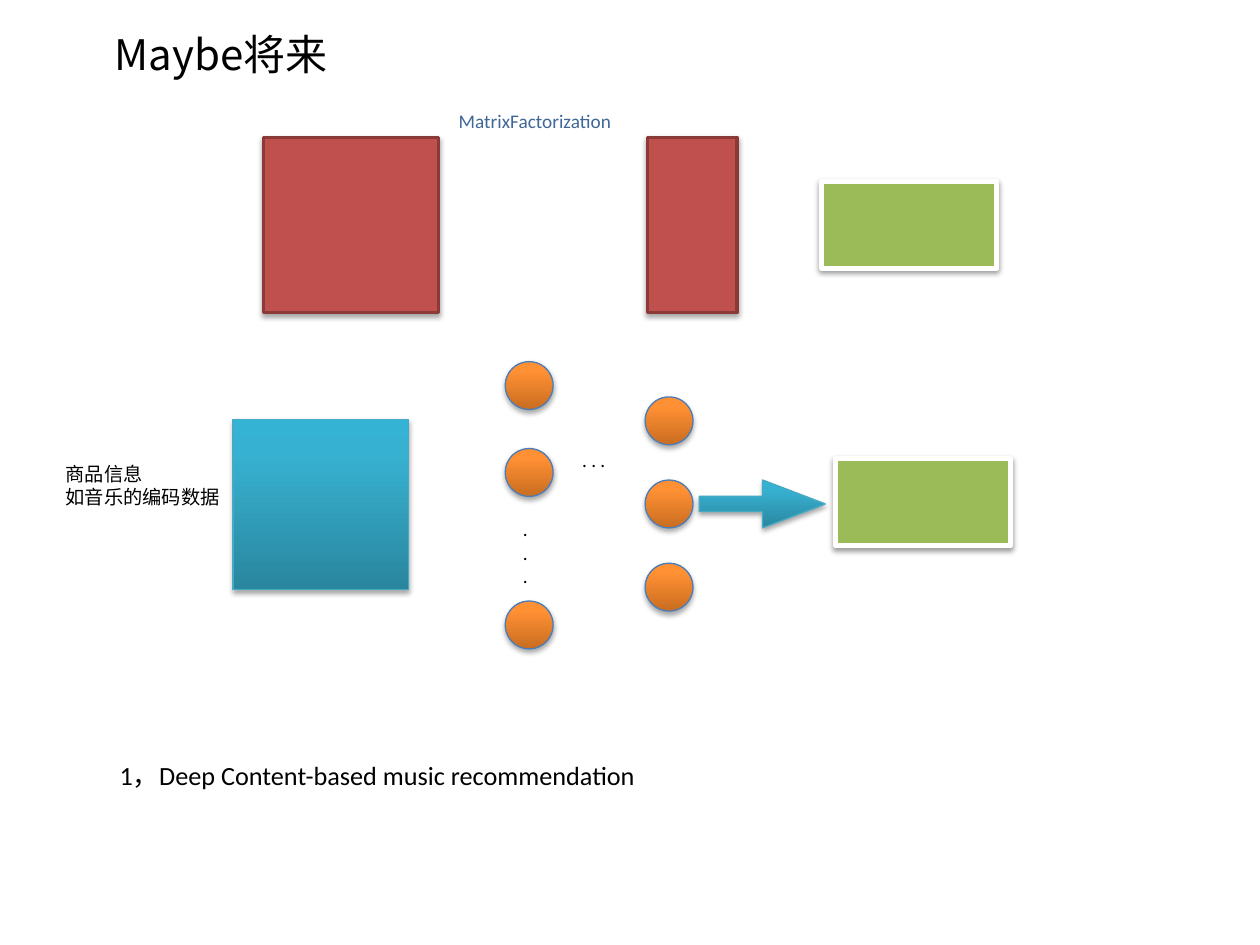
from dataclasses import dataclass

from lxml.etree import SubElement
from pptx import Presentation
from pptx.dml.color import RGBColor
from pptx.enum.shapes import MSO_SHAPE
from pptx.enum.text import MSO_ANCHOR, MSO_AUTO_SIZE
from pptx.oxml.ns import qn
from pptx.util import Inches, Pt

COLS, ROWS = 100, 75
WIDTH, HEIGHT = Inches(10), Inches(7.5)
LATIN, CJK = "Calibri", "Noto Sans CJK SC"
INK = {
    "black": "000000", "white": "FFFFFF", "label": "3F6797",
    "red": "C0504D", "maroon": "8C3A38", "green": "9BBB59",
    "teal": "46AAC4", "blue": "4A7EBB",
}
BLEND = {
    "aqua": ((0, "2A869F"), (80, "37B1D1"), (100, "34B3D5")),
    "orange": ((0, "C96D20"), (80, "FF9034"), (100, "FF9035")),
}


@dataclass(frozen=True)
class Box:
    """Place on the slide grid, in columns and rows."""
    col: float
    row: float
    wide: float
    high: float

    def place(self) -> tuple[int, int, int, int]:
        return (int(WIDTH * self.col / COLS), int(HEIGHT * self.row / ROWS),
                int(WIDTH * self.wide / COLS), int(HEIGHT * self.high / ROWS))


@dataclass(frozen=True)
class Style:
    fill: str
    line: str
    weight: float
    alpha: int = 35
    drop: float = 1.8


@dataclass(frozen=True)
class Note:
    box: Box
    lines: tuple[str, ...]
    size: float = 11
    ink: str = "black"
    font: str = LATIN
    wrap: bool = False


MATRIX = Style("red", "maroon", 2)
FACTOR = Style("green", "white", 3, 38, 1.6)
INPUT = Style("aqua", "teal", 0.75)
NEURON = Style("orange", "blue", 0.75)

DOT = 3.8
LAYERS = ((40.1, (28.7, 35.6, 47.7)),
          (51.2, tuple(31.5 + 6.6 * i for i in range(3))))


def shade(shape, stops: tuple) -> None:
    """Fill a shape with a gradient that runs from bottom to top."""
    shape.fill.gradient()
    shape.fill.gradient_angle = 90
    chain = shape.element.spPr.find(qn("a:gradFill")).find(qn("a:gsLst"))
    for old in list(chain):
        chain.remove(old)
    for share, ink in stops:
        stop = SubElement(chain, qn("a:gs"), pos=str(share * 1000))
        SubElement(stop, qn("a:srgbClr"), val=ink)


def drop(shape, style: Style) -> None:
    """Cast a soft shadow straight down."""
    shape.shadow.inherit = False
    effects = shape.element.spPr.find(qn("a:effectLst"))
    cast = SubElement(effects, qn("a:outerShdw"), blurRad=str(Pt(3)),
                      dist=str(Pt(style.drop)), dir="5400000", rotWithShape="0")
    tint = SubElement(cast, qn("a:srgbClr"), val=INK["black"])
    SubElement(tint, qn("a:alpha"), val=str(style.alpha * 1000))


def draw(shapes, box: Box, style: Style, kind=MSO_SHAPE.RECTANGLE):
    shape = shapes.add_shape(kind, *box.place())
    if style.fill in BLEND:
        shade(shape, BLEND[style.fill])
    else:
        shape.fill.solid()
        shape.fill.fore_color.rgb = RGBColor.from_string(INK[style.fill])
    shape.line.color.rgb = RGBColor.from_string(INK[style.line])
    shape.line.width = Pt(style.weight)
    drop(shape, style)
    return shape


def write(shapes, note: Note):
    frame = shapes.add_textbox(*note.box.place()).text_frame
    frame.word_wrap = note.wrap
    frame.auto_size = MSO_AUTO_SIZE.SHAPE_TO_FIT_TEXT
    frame.margin_left = frame.margin_right = Inches(0.05)
    frame.margin_top = frame.margin_bottom = Inches(0.05)
    for i, line in enumerate(note.lines):
        para = frame.add_paragraph() if i else frame.paragraphs[0]
        run = para.add_run()
        run.text = line
        run.font.size = Pt(note.size)
        run.font.name = note.font
        run.font.color.rgb = RGBColor.from_string(INK[note.ink])
        SubElement(run.font._element, qn("a:ea"), typeface=CJK)
    return frame


def main() -> None:
    deck = Presentation()
    deck.slide_width, deck.slide_height = WIDTH, HEIGHT
    shapes = deck.slides.add_slide(deck.slide_layouts[6]).shapes

    title = write(shapes, Note(Box(8.6, 1.5, 72.9, 5.6), ("Maybe将来",),
                               24, font=CJK, wrap=True))
    title.vertical_anchor = MSO_ANCHOR.MIDDLE
    write(shapes, Note(Box(9, 59.8, 45.6, 3.9),
                       ("1，Deep Content-based music recommendation",), 15))

    # Network
    draw(shapes, Box(66.3, 36.4, 13.9, 6.9), FACTOR)
    draw(shapes, Box(18.5, 33.3, 13.9, 13.5), INPUT)
    for col, rows in LAYERS:
        for row in rows:
            draw(shapes, Box(col, row, DOT, DOT), NEURON, MSO_SHAPE.OVAL)
    write(shapes, Note(Box(45.7, 35.1, 3.7, 2.7), (". . .",)))
    write(shapes, Note(Box(41, 40.6, 2.2, 6), (".",) * 3))

    # Factorization
    group = shapes.add_group_shape().shapes
    draw(group, Box(20.9, 10.9, 13.9, 13.9), MATRIX)
    draw(group, Box(51.4, 10.9, 7.1, 13.9), MATRIX)
    draw(group, Box(65.2, 14.4, 13.9, 6.9), FACTOR)
    write(group, Note(Box(35.9, 8.2, 14.5, 2.7), ("MatrixFactorization",),
                      ink="label"))

    arrow = draw(shapes, Box(55.5, 38.1, 10, DOT), INPUT, MSO_SHAPE.RIGHT_ARROW)
    arrow.adjustments[0], arrow.adjustments[1] = 0.32, 1.31
    write(shapes, Note(Box(4.7, 36.2, 13.4, 5.4),
                       ("商品信息", "如音乐的编码数据")))

    deck.save("out.pptx")


if __name__ == "__main__":
    main()
